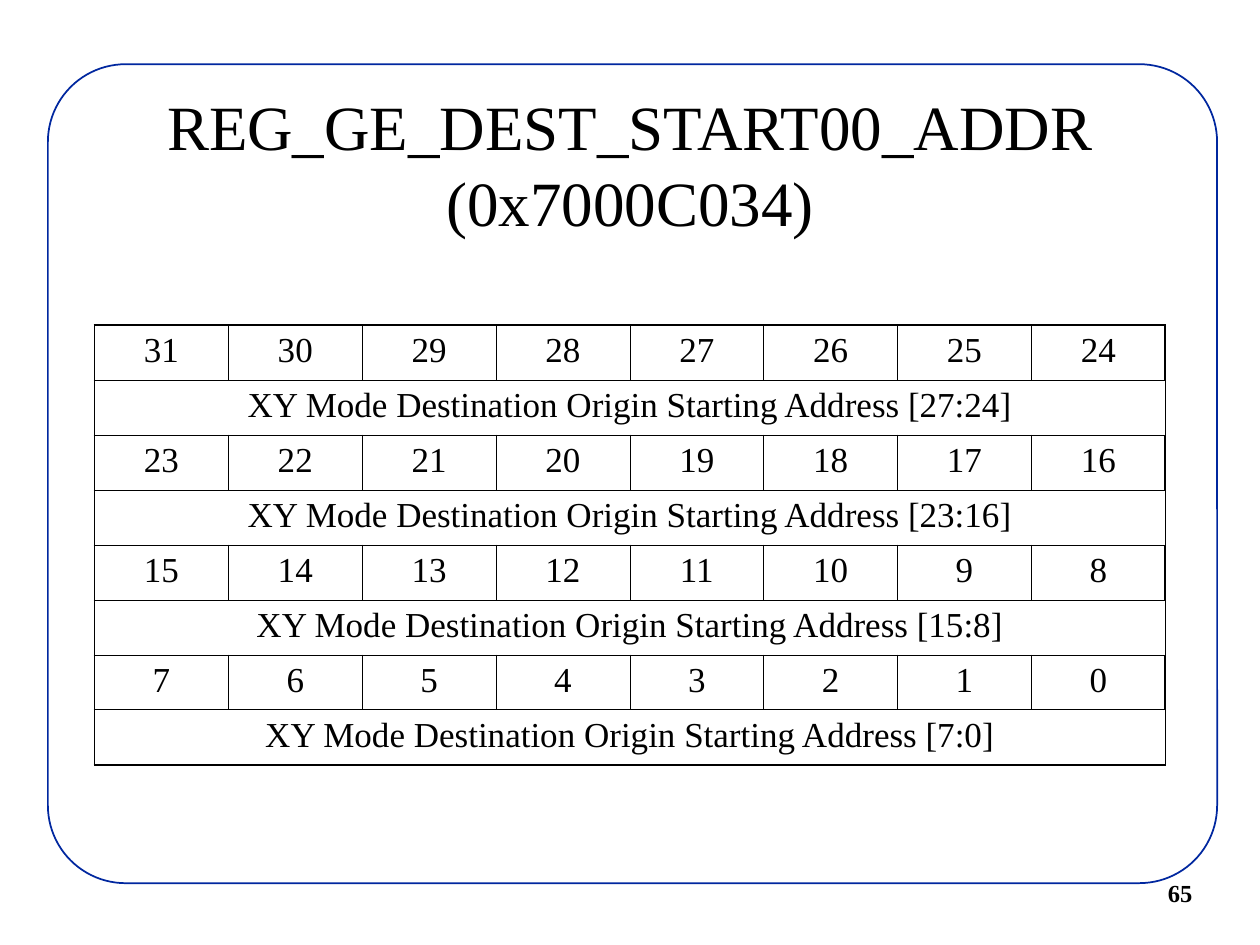
from dataclasses import dataclass

from pptx import Presentation
from pptx.dml.color import RGBColor
from pptx.enum.shapes import MSO_SHAPE as Shape
from pptx.enum.text import MSO_ANCHOR as Anchor, MSO_AUTO_SIZE as AutoSize, PP_ALIGN as Align
from pptx.oxml import parse_xml
from pptx.oxml.ns import nsdecls
from pptx.util import Inches, Pt


@dataclass(frozen=True)
class Theme:
    font: str = "Times New Roman"
    ink: str = "000000"
    paper: str = "FFFFFF"
    frame: str = "00279F"
    title_size: int = 36
    cell_size: int = 20
    number_size: int = 14
    outer_line: float = 1.08
    inner_line: float = 0.45


THEME = Theme()
BITS_PER_ROW = 8
ROW_HEIGHT = 3.49 / 8
FIELD_NAME = "XY Mode Destination Origin Starting Address"
FIELD_RANGES = ["[27:24]", "[23:16]", "[15:8]", "[7:0]"]


def write_text(frame, text, *, size, align=Align.LEFT, anchor=Anchor.TOP, bold=False):
    frame.word_wrap = True
    frame.vertical_anchor = anchor
    para = frame.paragraphs[0]
    para.text = text
    para.alignment = align
    for span in para.runs:
        span.font.name = THEME.font
        span.font.size = Pt(size)
        span.font.bold = bold
        span.font.color.rgb = RGBColor.from_string(THEME.ink)


def add_frame(page):
    frame = page.shapes.add_shape(
        Shape.ROUNDED_RECTANGLE, Inches(0.38), Inches(0.51), Inches(9.28), Inches(6.5))
    frame.adjustments[0] = 0.095
    frame.shadow.inherit = False
    frame.fill.solid()
    frame.fill.fore_color.rgb = RGBColor.from_string(THEME.paper)
    frame.line.color.rgb = RGBColor.from_string(THEME.frame)
    frame.line.width = Pt(1)
    page.shapes.element.insert(2, frame.element)


def set_title(page, text):
    title = page.shapes.title
    title.left, title.top = Inches(0.75), Inches(0.67)
    title.width, title.height = Inches(8.5), Inches(1.25)
    title.text_frame.auto_size = AutoSize.NONE
    write_text(title.text_frame, text, size=THEME.title_size,
               align=Align.CENTER, anchor=Anchor.MIDDLE)


def add_page_number(page, number):
    box = page.shapes.add_textbox(Inches(9.17), Inches(6.92), Inches(0.7), Inches(0.33))
    write_text(box.text_frame, number, size=THEME.number_size, bold=True)


def set_borders(cell, outer_sides):
    properties = cell._tc.get_or_add_tcPr()
    for position, side in enumerate("LRTB"):
        width = THEME.outer_line if side in outer_sides else THEME.inner_line
        properties.insert(position, parse_xml(
            f'<a:ln{side} {nsdecls("a")} w="{int(Pt(width))}"><a:solidFill>'
            f'<a:srgbClr val="{THEME.ink}"/></a:solidFill></a:ln{side}>'))


def add_register_table(page):
    row_count = 2 * len(FIELD_RANGES)
    table = page.shapes.add_table(
        row_count, BITS_PER_ROW, Inches(0.75), Inches(2.58),
        Inches(8.5), Inches(ROW_HEIGHT * row_count)).table
    table.first_row = table.horz_banding = False
    for row in range(row_count):
        table.rows[row].height = Inches(ROW_HEIGHT)
        for column in range(BITS_PER_ROW):
            cell = table.cell(row, column)
            cell.fill.background()
            edges = {"L": column == 0, "R": column == BITS_PER_ROW - 1,
                     "T": row == 0, "B": row == row_count - 1}
            set_borders(cell, [side for side, outer in edges.items() if outer])

    top_bit = BITS_PER_ROW * len(FIELD_RANGES) - 1
    for group, bit_range in enumerate(FIELD_RANGES):
        for column in range(BITS_PER_ROW):
            bit = top_bit - group * BITS_PER_ROW - column
            write_text(table.cell(2 * group, column).text_frame, str(bit),
                       size=THEME.cell_size, align=Align.CENTER)
        field = table.cell(2 * group + 1, 0)
        field.merge(table.cell(2 * group + 1, BITS_PER_ROW - 1))
        write_text(field.text_frame, f"{FIELD_NAME} {bit_range}",
                   size=THEME.cell_size, align=Align.CENTER)


def main():
    deck = Presentation()
    deck.slide_width, deck.slide_height = Inches(10), Inches(7.5)
    page = deck.slides.add_slide(deck.slide_layouts[5])
    add_frame(page)
    set_title(page, "REG_GE_DEST_START00_ADDR\v(0x7000C034)")
    add_register_table(page)
    add_page_number(page, "65")
    deck.save("out.pptx")


if __name__ == "__main__":
    main()
